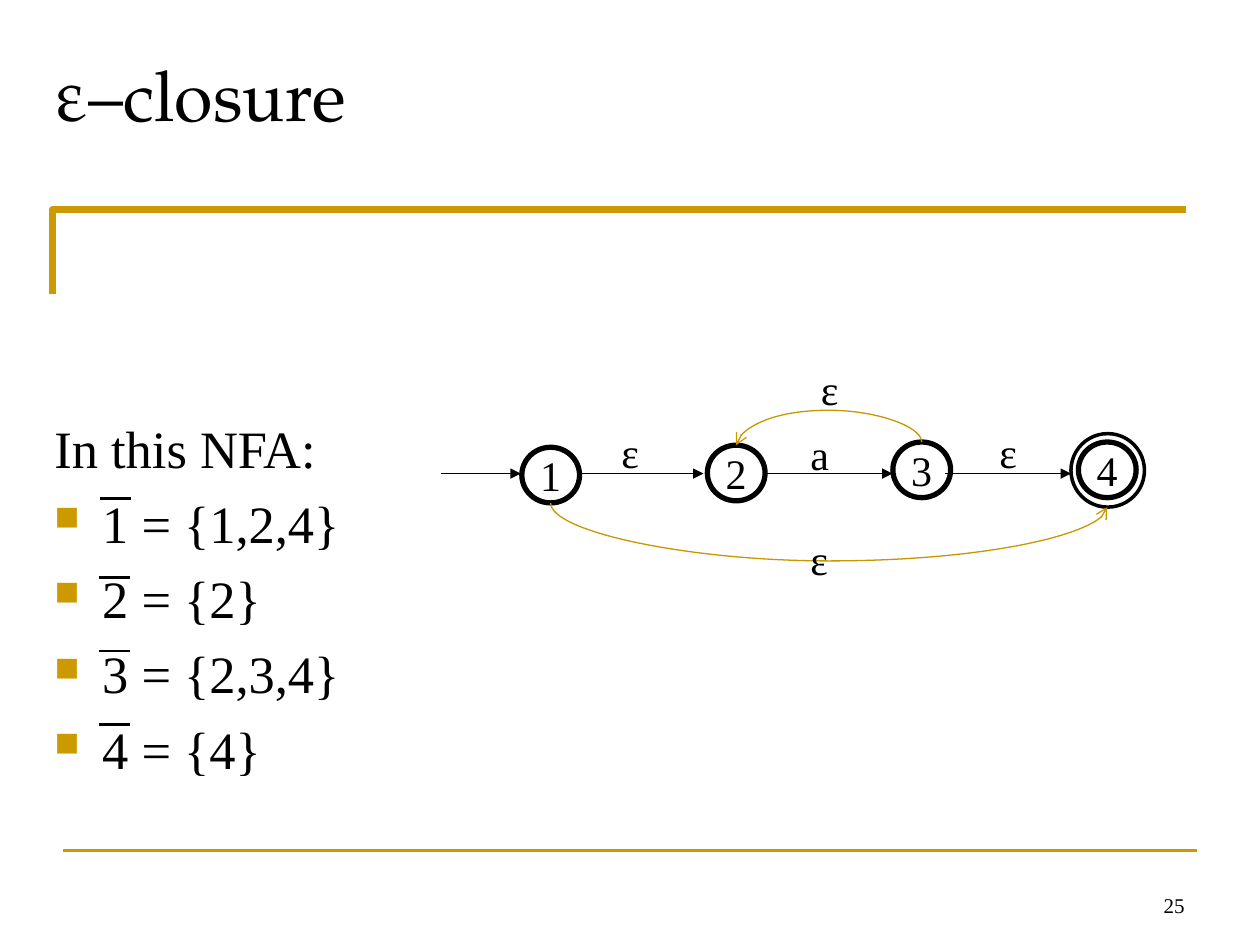
"""Build the ε-closure slide: a small NFA beside the closures of its states."""
from lxml import etree
from pptx import Presentation
from pptx.dml.color import RGBColor
from pptx.enum.shapes import MSO_CONNECTOR, MSO_SHAPE
from pptx.enum.text import MSO_ANCHOR, PP_ALIGN
from pptx.oxml.ns import qn
from pptx.util import Inches, Pt

STRAIGHT, CURVE = MSO_CONNECTOR.STRAIGHT, MSO_CONNECTOR.CURVE
OVAL = MSO_SHAPE.OVAL
TOP, MIDDLE, BOTTOM = MSO_ANCHOR.TOP, MSO_ANCHOR.MIDDLE, MSO_ANCHOR.BOTTOM
LEFT, CENTER, RIGHT = PP_ALIGN.LEFT, PP_ALIGN.CENTER, PP_ALIGN.RIGHT
COLORS = {"ink": "000000", "gold": "CC9900", "curve": "C89600", "paper": "FFFFFF"}
SERIF, TITLE_FONT = "Times New Roman", "TeX Gyre Pagella"

presentation = Presentation()
presentation.slide_width, presentation.slide_height = Inches(10), Inches(7.5)
COLUMN = presentation.slide_width / 120
ROW = presentation.slide_height / 90
slide = presentation.slides.add_slide(presentation.slide_layouts[6])
shapes = slide.shapes


def add_line(kind, start, end, color, width, head=None):
    """Draw a connector between two grid points, with an optional arrowhead."""
    points = [round(value * unit) for point in (start, end) for value, unit in zip(point, (COLUMN, ROW))]
    line = shapes.add_connector(kind, *points)
    line.line.color.rgb = RGBColor.from_string(COLORS[color])
    line.line.width = Pt(width)
    if head:
        etree.SubElement(line.line._get_or_add_ln(), qn("a:tailEnd"), type=head)
    etree.SubElement(line._element.spPr, qn("a:effectLst"))
    return line


def write(shape, paragraphs, size, font=SERIF, align=LEFT, anchor=TOP, wrap=True):
    """Fill a shape with paragraphs, each a list of text runs."""
    frame = shape.text_frame
    for name, value in {"word_wrap": wrap, "vertical_anchor": anchor}.items():
        setattr(frame, name, value)
    for index, runs in enumerate(paragraphs):
        paragraph = frame.add_paragraph() if index else frame.paragraphs[0]
        paragraph.alignment = align
        for text in runs:
            run = paragraph.add_run()
            run.text = text
            for name, value in {"size": Pt(size), "name": font}.items():
                setattr(run.font, name, value)
            run.font.color.rgb = RGBColor.from_string(COLORS["ink"])
    return frame


builder = shapes.build_freeform(5, 28, scale=(COLUMN, ROW))
builder.add_line_segments([(5, 20), (113, 20)], close=False)
corner = builder.convert_to_shape()
corner.fill.background()
corner.line.color.rgb = RGBColor.from_string(COLORS["gold"])
corner.line.width = Pt(4)
corner.shadow.inherit = False
add_line(STRAIGHT, (6, 81), (114, 81), "gold", 2)

title_box = shapes.add_textbox(4 * COLUMN, 4 * ROW, 114 * COLUMN, 11 * ROW)
title = write(title_box, [["ε", "–closure"]], 40, TITLE_FONT)
title.paragraphs[0].runs[0].font.size = Pt(42)
number_box = shapes.add_textbox(86 * COLUMN, 82 * ROW, 28 * COLUMN, 6 * ROW)
write(number_box, [["25"]], 12, align=RIGHT, anchor=BOTTOM)

STATE_LEFT, STATE_STEP, STATE_WIDTH, STATE_HEIGHT = 49.7, 17.67, 5.5, 5.3
ovals = [("", 102, 41.3, 7, 7, 2)]
for index, top in enumerate((42.6, 42.4, 42.1, 42.1)):
    ovals.append((str(index + 1), STATE_LEFT + index * STATE_STEP, top, STATE_WIDTH, STATE_HEIGHT, 3))
for label, left, top, width, height, border in ovals:
    state = shapes.add_shape(OVAL, round(left * COLUMN), round(top * ROW), round(width * COLUMN), round(height * ROW))
    state.shadow.inherit = False
    state.line.color.rgb = RGBColor.from_string(COLORS["ink"])
    state.line.width = Pt(border)
    if label:
        state.fill.background()
        write(state, [[label]], 24, align=CENTER, anchor=MIDDLE, wrap=False)
    else:
        state.fill.solid()
        state.fill.fore_color.rgb = RGBColor.from_string(COLORS["paper"])

for start, end in ((42, 49.6), (55, 67), (73, 85), (90, 102)):
    add_line(STRAIGHT, (start, 45.1), (end, 45.1), "ink", 0.75, "triangle")

centers = [STATE_LEFT + STATE_WIDTH / 2 + index * STATE_STEP for index in range(4)]
for source, target, start_row, end_row, bend_row in ((0, 3, 47.9, 48.3, 53.4), (2, 1, 42.1, 42.4, 39.1)):
    middle, center_row = (centers[source] + centers[target]) / 2, (start_row + end_row) / 2
    rise, half_span = end_row - start_row, (centers[target] - centers[source]) / 2
    curve = add_line(
        CURVE,
        (middle + rise / 2, center_row - half_span),
        (middle - rise / 2, center_row + half_span),
        "curve", 0.75, "arrow",
    )
    curve.rotation = 270 if hasattr(curve, "rotation") else 0
    curve._element.spPr.find(qn("a:xfrm")).set("rot", str(270 * 60000))
    geometry = curve._element.spPr.find(qn("a:prstGeom"))
    adjustments = geometry.find(qn("a:avLst"))
    bend = round((bend_row - start_row) / rise * 100000)
    etree.SubElement(adjustments, qn("a:gd"), name="adj1", fmla=f"val {bend}")

for label, left, top in (("ε", 77, 34), ("ε", 76, 50.2), ("ε", 58, 40), ("ε", 94, 40), ("a", 76, 40.2)):
    label_box = shapes.add_textbox(round(left * COLUMN), round(top * ROW), round(3.8 * COLUMN), round(4.8 * ROW))
    write(label_box, [[label]], 24, wrap=False)

closures = ["1 = {1,2,4}", "2 = {2}", "3 = {2,3,4}", "4 = {4}"]
body_box = shapes.add_textbox(4 * COLUMN, 39 * ROW, 114 * COLUMN, round(40.8 * ROW))
body = write(body_box, [["In this NFA:"]] + [[closure] for closure in closures], 30)
for index, paragraph in enumerate(body.paragraphs):
    paragraph.space_before = Pt(7)
    properties = paragraph._p.get_or_add_pPr()
    for name, value in {"marL": Inches(0.38), "indent": -Inches(0.38)}.items():
        properties.set(name, str(value))
    if index:
        bullet_color = etree.SubElement(properties, qn("a:buClr"))
        etree.SubElement(bullet_color, qn("a:srgbClr"), val=COLORS["gold"])
        etree.SubElement(properties, qn("a:buSzPct"), val="65000")
        etree.SubElement(properties, qn("a:buChar"), char="■")

for left, row in ((9.5, 47.5), (9.4, 55), (9.4, 62), (9.4, 69)):
    add_line(STRAIGHT, (left, row), (left + 3, row), "ink", 1.5)

presentation.save("out.pptx")
